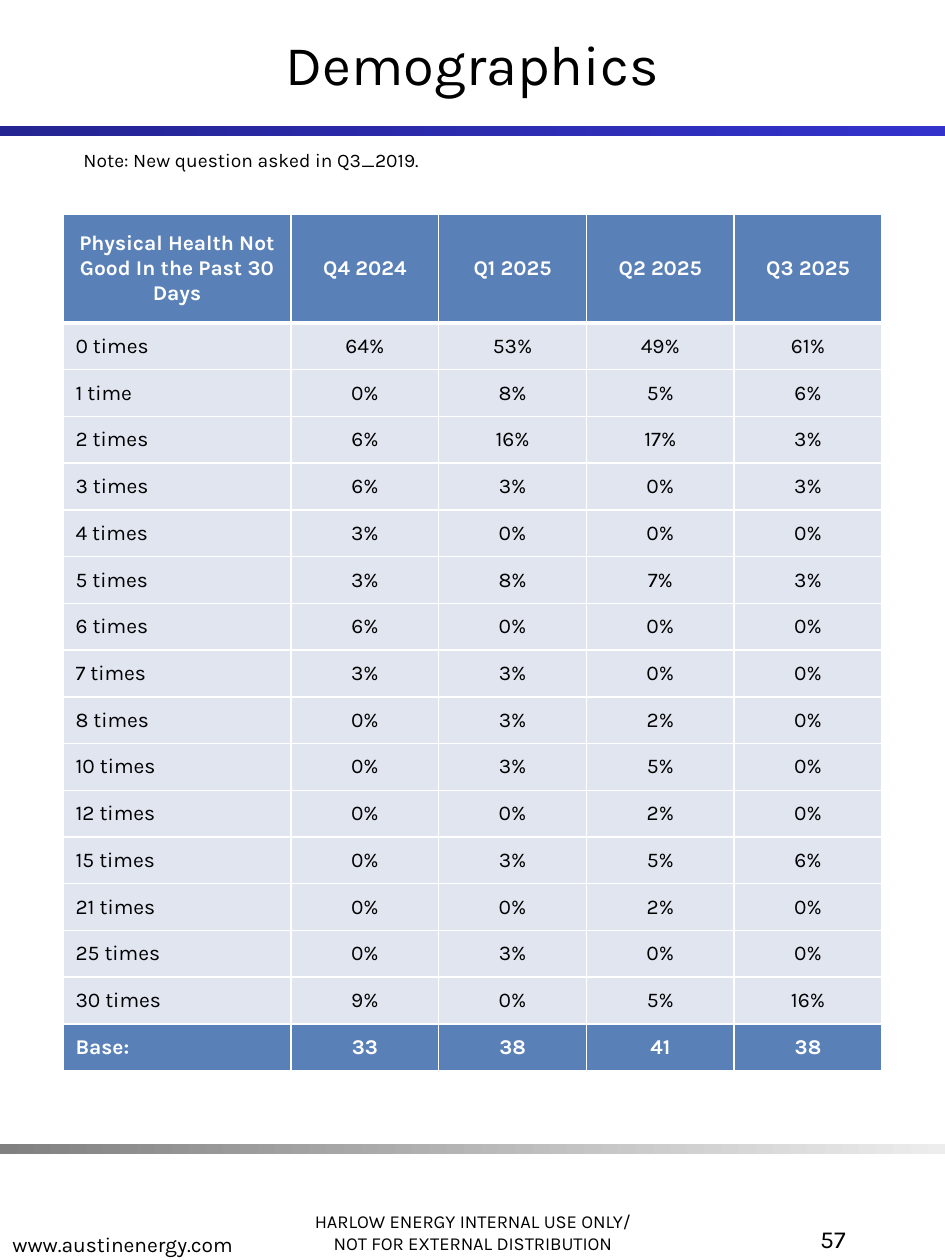
from lxml.etree import SubElement
from pptx import Presentation
from pptx.dml.color import RGBColor
from pptx.enum.shapes import MSO_SHAPE
from pptx.enum.text import MSO_ANCHOR as Anchor, PP_ALIGN as Align
from pptx.oxml.ns import qn
from pptx.util import Pt

EMU_PER_PX = 914400 / 126
SLIDE_W, SLIDE_H = 945, 1260
FONT = "Karla"
BLACK, WHITE, BLUE, PALE = "000000", "FFFFFF", "5A80B8", "E0E5F0"

TITLE = "Demographics"
BANDS = [
    (126, "242492", "3333CC"),
    (1144, "808080", "EDEDED"),
]
BAND_H = 10
LABELS = [
    ("HARLOW ENERGY INTERNAL USE ONLY/\nNOT FOR EXTERNAL DISTRIBUTION",
     (272, 1176, 402, 84), 10.5, Align.CENTER, Anchor.BOTTOM),
    ("www.austinenergy.com", (0, 1179, 402, 84), 12, Align.LEFT, Anchor.BOTTOM),
    ("57", (662, 1218, 196, 84), 14, Align.RIGHT, Anchor.TOP),
    ("Note: New question asked in Q3_2019.",
     (71, 142, 811, 36), 11, Align.LEFT, Anchor.TOP),
]
HEADER = ["Physical Health Not Good In the Past 30 Days",
          "Q4 2024", "Q1 2025", "Q2 2025", "Q3 2025"]
SHARES = [
    ("0 times", 64, 53, 49, 61),
    ("1 time", 0, 8, 5, 6),
    ("2 times", 6, 16, 17, 3),
    ("3 times", 6, 3, 0, 3),
    ("4 times", 3, 0, 0, 0),
    ("5 times", 3, 8, 7, 3),
    ("6 times", 6, 0, 0, 0),
    ("7 times", 3, 3, 0, 0),
    ("8 times", 0, 3, 2, 0),
    ("10 times", 0, 3, 5, 0),
    ("12 times", 0, 0, 2, 0),
    ("15 times", 0, 3, 5, 6),
    ("21 times", 0, 0, 2, 0),
    ("25 times", 0, 3, 0, 0),
    ("30 times", 9, 0, 5, 16),
]
BASE = ["Base:", "33", "38", "41", "38"]
TABLE_BOX = (63, 214, 819, 857)
FIRST_COL_W, HEADER_H = 228, 109


def px(length):
    return round(length * EMU_PER_PX)


def color(hex_text):
    return RGBColor.from_string(hex_text)


def format_text(frame, size, align, hex_text=BLACK, bold=False):
    for paragraph in frame.paragraphs:
        paragraph.alignment = align
        for run in paragraph.runs:
            run.font.name = FONT
            run.font.size = Pt(size)
            run.font.bold = bold
            run.font.color.rgb = color(hex_text)


def add_band(slide, top, start, end):
    band = slide.shapes.add_shape(MSO_SHAPE.RECTANGLE, 0, px(top), px(SLIDE_W), px(BAND_H))
    band.shadow.inherit = False
    band.line.fill.background()
    band.fill.gradient()
    band.fill.gradient_angle = 0
    for stop, shade in zip(band.fill.gradient_stops, (start, end)):
        stop.color.rgb = color(shade)


def add_label(slide, text, box, size, align, anchor):
    frame = slide.shapes.add_textbox(*map(px, box)).text_frame
    frame.word_wrap = True
    frame.vertical_anchor = anchor
    frame.text = text
    format_text(frame, size, align)


def set_borders(cell, bottom, top):
    properties = cell._tc.get_or_add_tcPr()
    widths = {"a:lnL": 1, "a:lnR": 1, "a:lnT": top, "a:lnB": bottom}
    for place, (side, width) in enumerate(widths.items()):
        line = SubElement(properties, qn(side), w=str(Pt(width)))
        fill = SubElement(line, qn("a:solidFill"))
        SubElement(fill, qn("a:srgbClr"), val=WHITE)
        properties.insert(place, line)


def add_health_table(slide):
    rows = [HEADER]
    rows += [[label] + [f"{share}%" for share in shares] for label, *shares in SHARES]
    rows.append(BASE)
    last = len(rows) - 1
    width, height = TABLE_BOX[2:]
    table = slide.shapes.add_table(len(rows), len(HEADER), *map(px, TABLE_BOX)).table
    table.horz_banding = False
    for c, column in enumerate(table.columns):
        column.width = px((width - FIRST_COL_W) / (len(HEADER) - 1) if c else FIRST_COL_W)
    for r, row in enumerate(table.rows):
        row.height = px((height - HEADER_H) / last if r else HEADER_H)
        strong = r in (0, last)
        for c, cell in enumerate(row.cells):
            cell.text = rows[r][c]
            cell.vertical_anchor = Anchor.MIDDLE
            cell.fill.solid()
            cell.fill.fore_color.rgb = color(BLUE if strong else PALE)
            set_borders(cell, bottom=1 if r else 3, top=3 if r == 1 else 1)
            align = Align.LEFT if r and not c else Align.CENTER
            format_text(cell.text_frame, 12, align, WHITE if strong else BLACK, strong)


def main():
    deck = Presentation()
    deck.slide_width, deck.slide_height = px(SLIDE_W), px(SLIDE_H)
    slide = deck.slides.add_slide(deck.slide_layouts[5])
    title = slide.shapes.title
    title.left, title.top, title.width, title.height = 0, 0, px(SLIDE_W), px(126)
    title.text_frame.text = TITLE
    title.text_frame.vertical_anchor = Anchor.MIDDLE
    format_text(title.text_frame, 32, Align.CENTER)
    for band in BANDS:
        add_band(slide, *band)
    for label in LABELS:
        add_label(slide, *label)
    add_health_table(slide)
    deck.save("out.pptx")


if __name__ == "__main__":
    main()
